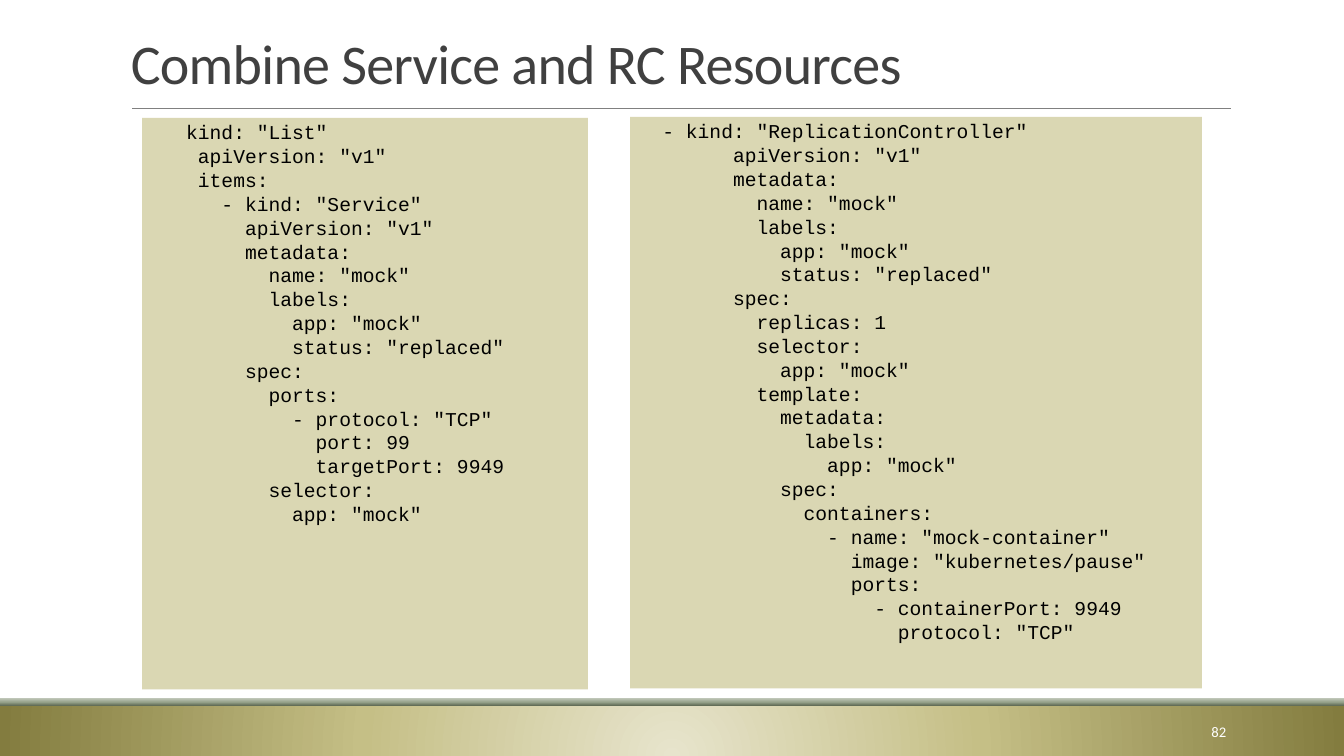
from lxml import etree
from pptx import Presentation
from pptx.dml.color import RGBColor
from pptx.enum.shapes import MSO_CONNECTOR, MSO_SHAPE
from pptx.enum.text import MSO_ANCHOR, PP_ALIGN
from pptx.oxml import parse_xml
from pptx.oxml.ns import nsdecls, qn
from pptx.util import Inches, Pt

WHITE = RGBColor(0xFF, 0xFF, 0xFF)
BLACK = RGBColor(0x00, 0x00, 0x00)
TITLE_GRAY = RGBColor(0x40, 0x40, 0x40)
RULE_GRAY = RGBColor(0x80, 0x80, 0x80)
PANEL_KHAKI = RGBColor(0xDA, 0xD7, 0xB3)
FOOTER_STOPS = [
    (0, RGBColor(0xE7, 0xE4, 0xCC)),
    (46, RGBColor(0xC5, 0xBF, 0x86)),
    (100, RGBColor(0x83, 0x7C, 0x3F)),
]
STRIP_STOPS = [
    (0, RGBColor(0x63, 0x6E, 0x58)),
    (48, RGBColor(0x97, 0xA3, 0x8C)),
    (100, RGBColor(0xBF, 0xC6, 0xB8)),
]
RADIAL = '<a:path path="circle"><a:fillToRect l="50000" t="130000" r="50000" b="-30000"/></a:path>'
UPWARD = '<a:lin ang="16200000" scaled="0"/>'

SERVICE_CODE = ''' kind: "List"
  apiVersion: "v1"
  items:
    - kind: "Service"
      apiVersion: "v1"
      metadata:
        name: "mock"
        labels:
          app: "mock"
          status: "replaced"
      spec:
        ports:
          - protocol: "TCP"
            port: 99
            targetPort: 9949
        selector:
          app: "mock"'''

CONTROLLER_CODE = '''- kind: "ReplicationController"
      apiVersion: "v1"
      metadata:
        name: "mock"
        labels:
          app: "mock"
          status: "replaced"
      spec:
        replicas: 1
        selector:
          app: "mock"
        template:
          metadata:
            labels:
              app: "mock"
          spec:
            containers:
              - name: "mock-container"
                image: "kubernetes/pause"
                ports:
                  - containerPort: 9949
                    protocol: "TCP"'''


def add_rectangle(page, left, top, width, height):
    box = page.shapes.add_shape(
        MSO_SHAPE.RECTANGLE, Inches(left), Inches(top), Inches(width), Inches(height)
    )
    box.shadow.inherit = False
    box.line.fill.background()
    return box


def add_gradient_bar(page, top, height, stops, direction):
    """Add a full-width bar; direction is the XML that steers the gradient."""
    bar = add_rectangle(page, 0, top, 13.33, height)
    bar.fill.background()
    marks = "".join(
        f'<a:gs pos="{percent * 1000}"><a:srgbClr val="{color}"/></a:gs>'
        for percent, color in stops
    )
    gradient = parse_xml(
        f'<a:gradFill {nsdecls("a")} rotWithShape="1"><a:gsLst>{marks}</a:gsLst>{direction}</a:gradFill>'
    )
    properties = bar.element.spPr
    properties.replace(properties.find(qn("a:noFill")), gradient)


def add_rule(page, left, right, top):
    rule = page.shapes.add_connector(
        MSO_CONNECTOR.STRAIGHT, Inches(left), Inches(top), Inches(right), Inches(top)
    )
    rule.line.color.rgb = RULE_GRAY
    rule.line.width = Pt(0.5)
    etree.SubElement(rule.element.spPr, qn("a:effectLst"))


def add_span(para, text, font_name, size, color):
    span = para.add_run()
    span.text = text
    span.font.name = font_name
    span.font.size = Pt(size)
    span.font.color.rgb = color
    return span


def add_label(page, left, top, width, height, anchor):
    """Add an empty text box and return its first paragraph."""
    box = page.shapes.add_textbox(Inches(left), Inches(top), Inches(width), Inches(height))
    box.text_frame.word_wrap = True
    box.text_frame.vertical_anchor = anchor
    return box.text_frame.paragraphs[0]


def add_title(page, text):
    para = add_label(page, 1.2, 0.31, 11, 0.69, MSO_ANCHOR.BOTTOM)
    para.line_spacing = 0.85
    span = add_span(para, text, "Calibri", 40, TITLE_GRAY)
    span.font._element.set("spc", "-50")


def add_page_number(page, text):
    para = add_label(page, 10.83, 7.06, 1.43, 0.4, MSO_ANCHOR.MIDDLE)
    para.alignment = PP_ALIGN.RIGHT
    add_span(para, text, "Calibri", 10.5, WHITE)


def add_code_panel(page, left, top, width, height, code):
    panel = add_rectangle(page, left, top, width, height)
    panel.fill.solid()
    panel.fill.fore_color.rgb = PANEL_KHAKI
    frame = panel.text_frame
    frame.word_wrap = True
    frame.vertical_anchor = MSO_ANCHOR.TOP
    frame.margin_left = frame.margin_right = 0
    frame.margin_top = frame.margin_bottom = Inches(0.05)
    for index, line in enumerate(code.split("\n")):
        para = frame.add_paragraph() if index else frame.paragraphs[0]
        para.level = 1
        para.alignment = PP_ALIGN.LEFT
        para.line_spacing = 0.9
        para.space_after = Pt(1.9)
        indents = para._p.get_or_add_pPr()
        indents.set("marL", str(Inches(0.32)))
        indents.set("indent", "0")
        add_span(para, line, "Courier New", 14, BLACK)


def main():
    deck = Presentation()
    deck.slide_width, deck.slide_height = Inches(13.33), Inches(7.5)
    page = deck.slides.add_slide(deck.slide_layouts[6])
    add_gradient_bar(page, 7, 0.5, FOOTER_STOPS, RADIAL)
    add_gradient_bar(page, 6.93, 0.07, STRIP_STOPS, UPWARD)
    add_rule(page, 1.31, 12.21, 1.08)
    add_title(page, "Combine Service and RC Resources")
    add_page_number(page, "82")
    add_code_panel(page, 1.41, 1.17, 4.42, 5.67, SERVICE_CODE)
    add_code_panel(page, 6.25, 1.16, 5.67, 5.67, CONTROLLER_CODE)
    deck.save("out.pptx")


if __name__ == "__main__":
    main()
